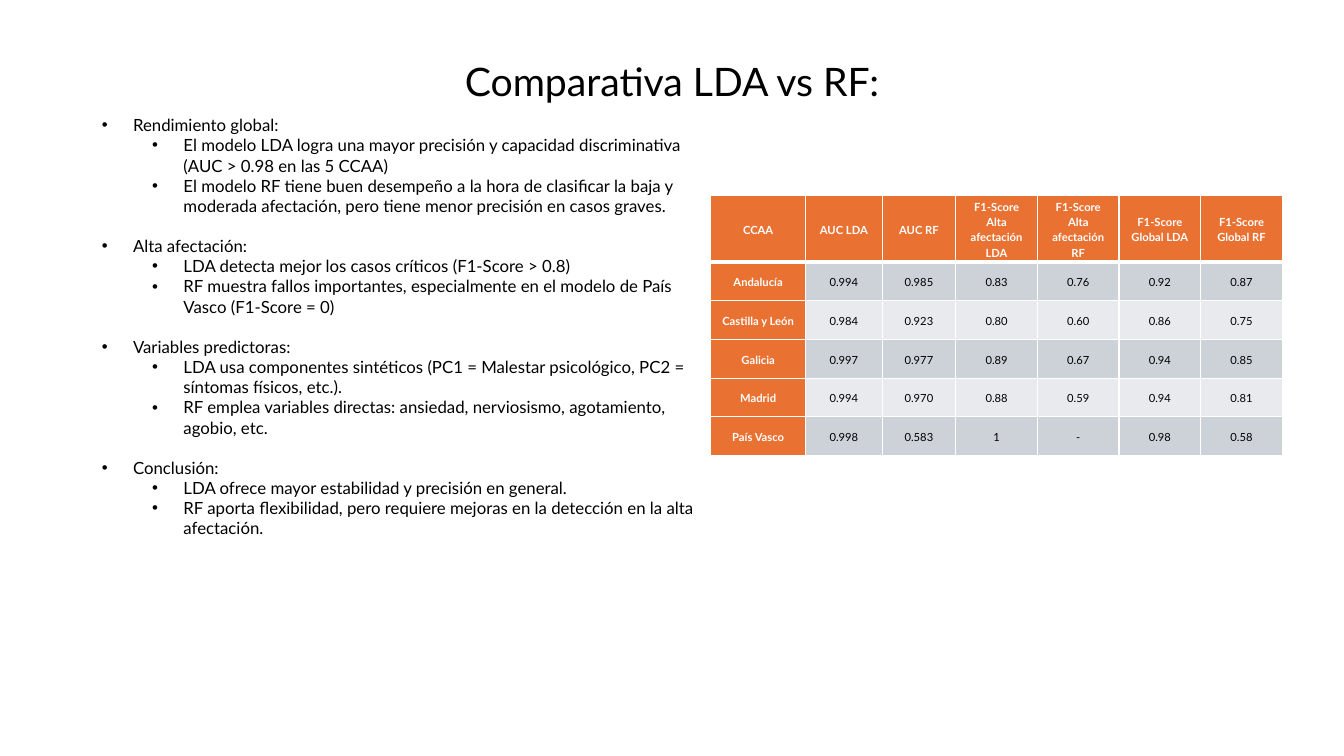
from lxml import etree
from pptx import Presentation
from pptx import util as u
from pptx.dml.color import RGBColor
from pptx.enum import text
from pptx.oxml import ns

TITLE = "Comparativa LDA vs RF:"
SECTIONS = [
    ("Rendimiento global:", [
        "El modelo LDA logra una mayor precisión y capacidad discriminativa (AUC > 0.98 en las 5 CCAA)",
        "El modelo RF tiene buen desempeño a la hora de clasificar la baja y moderada afectación, pero tiene menor precisión en casos graves.",
    ]),
    ("Alta afectación:", [
        "LDA detecta mejor los casos críticos (F1-Score > 0.8)",
        "RF muestra fallos importantes, especialmente en el modelo de País Vasco (F1-Score = 0)",
    ]),
    ("Variables predictoras:", [
        "LDA usa componentes sintéticos (PC1 = Malestar psicológico, PC2 = síntomas físicos, etc.).",
        "RF emplea variables directas: ansiedad, nerviosismo, agotamiento, agobio, etc.",
    ]),
    ("Conclusión:", [
        "LDA ofrece mayor estabilidad y precisión en general.",
        "RF aporta flexibilidad, pero requiere mejoras en la detección en la alta afectación.",
    ]),
]
SCORES = [
    ("CCAA", "AUC LDA", "AUC RF", "F1-Score Alta afectación LDA",
     "F1-Score Alta afectación RF", "F1-Score Global LDA", "F1-Score Global RF"),
    ("Andalucía", "0.994", "0.985", "0.83", "0.76", "0.92", "0.87"),
    ("Castilla y León", "0.984", "0.923", "0.80", "0.60", "0.86", "0.75"),
    ("Galicia", "0.997", "0.977", "0.89", "0.67", "0.94", "0.85"),
    ("Madrid", "0.994", "0.970", "0.88", "0.59", "0.94", "0.81"),
    ("País Vasco", "0.998", "0.583", "1", "-", "0.98", "0.58"),
]
COL_WIDTHS = [0.94, 0.76, 0.73] + [0.81] * 4
HEADER_HEIGHT, TABLE_HEIGHT = 0.66, 2.58


class Theme:
    font = "Lato"
    black, white = "000000", "FFFFFF"
    accent = "E97132"
    bands = ("CCD2D8", "E8EAED")
    title_size, body_size, table_size = 28, 12, 8
    section_gap = 14.4


def write(p, content, size, color=Theme.black, bold=False, align=None,
          spacing=1.0, before=0, after=0):
    p.alignment = align
    p.line_spacing = spacing
    p.space_before, p.space_after = u.Pt(before), u.Pt(after)
    r = p.add_run()
    r.text = content
    r.font.name, r.font.size, r.font.bold = Theme.font, u.Pt(size), bold
    r.font.color.rgb = RGBColor.from_string(color)


def place(sp, left, top, width, height):
    sp.left, sp.top, sp.width, sp.height = map(u.Inches, (left, top, width, height))


def add_bullet(p, level):
    p.level = level
    pPr = p._p.get_or_add_pPr()
    pPr.set("marL", str(u.Inches(0.31 + 0.5 * level)))
    pPr.set("indent", str(u.Inches(-0.31)))
    etree.SubElement(pPr, ns.qn("a:buFont"), typeface="Arial")
    etree.SubElement(pPr, ns.qn("a:buChar"), char="•")


def set_borders(cell, top, bottom):
    tcPr = cell._tc.get_or_add_tcPr()
    for side, points in (("L", 1), ("R", 1), ("T", top), ("B", bottom)):
        ln = etree.SubElement(tcPr, ns.qn(f"a:ln{side}"), w=str(u.Pt(points)))
        fill = etree.SubElement(ln, ns.qn("a:solidFill"))
        etree.SubElement(fill, ns.qn("a:srgbClr"), val=Theme.white)


def add_title(s):
    sp = s.shapes.title
    place(sp, 0, -0.66, 13.33, 1.75)
    tf = sp.text_frame
    tf.auto_size = text.MSO_AUTO_SIZE.NONE
    tf.vertical_anchor = text.MSO_ANCHOR.BOTTOM
    write(tf.paragraphs[0], TITLE, Theme.title_size,
          align=text.PP_ALIGN.CENTER, spacing=0.9)


def add_findings(s):
    sp = s.placeholders[1]
    place(sp, 0.91, 1.09, 6.14, 6.32)
    tf = sp.text_frame
    tf.auto_size = text.MSO_AUTO_SIZE.NONE
    for i, (heading, points) in enumerate(SECTIONS):
        for j, line in enumerate([heading] + points):
            p = tf.add_paragraph() if i or j else tf.paragraphs[0]
            add_bullet(p, 1 if j else 0)
            write(p, line, Theme.body_size,
                  before=Theme.section_gap if i and not j else 0)


def add_scores(s):
    table = s.shapes.add_table(
        len(SCORES), len(COL_WIDTHS), u.Inches(7.05), u.Inches(1.94),
        u.Inches(sum(COL_WIDTHS)), u.Inches(TABLE_HEIGHT)).table
    for column, width in zip(table.columns, COL_WIDTHS):
        column.width = u.Inches(width)
    row_height = (TABLE_HEIGHT - HEADER_HEIGHT) / (len(SCORES) - 1)
    for i, values in enumerate(SCORES):
        table.rows[i].height = u.Inches(row_height if i else HEADER_HEIGHT)
        for j, value in enumerate(values):
            cell = table.cell(i, j)
            heading = i == 0 or j == 0
            set_borders(cell, top=3 if i == 1 else 1, bottom=1 if i else 3)
            cell.fill.solid()
            cell.fill.fore_color.rgb = RGBColor.from_string(
                Theme.accent if heading else Theme.bands[(i - 1) % 2])
            cell.margin_left = cell.margin_right = u.Inches(0.07)
            cell.margin_top = cell.margin_bottom = 0
            cell.vertical_anchor = text.MSO_ANCHOR.MIDDLE
            write(cell.text_frame.paragraphs[0], value, Theme.table_size,
                  color=Theme.white if heading else Theme.black, bold=heading,
                  align=text.PP_ALIGN.CENTER, spacing=1.15, after=8)


def main():
    prs = Presentation()
    prs.slide_width, prs.slide_height = u.Inches(13.33), u.Inches(7.5)
    s = prs.slides.add_slide(prs.slide_layouts[1])
    add_title(s)
    add_findings(s)
    add_scores(s)
    prs.save("out.pptx")


if __name__ == "__main__":
    main()
